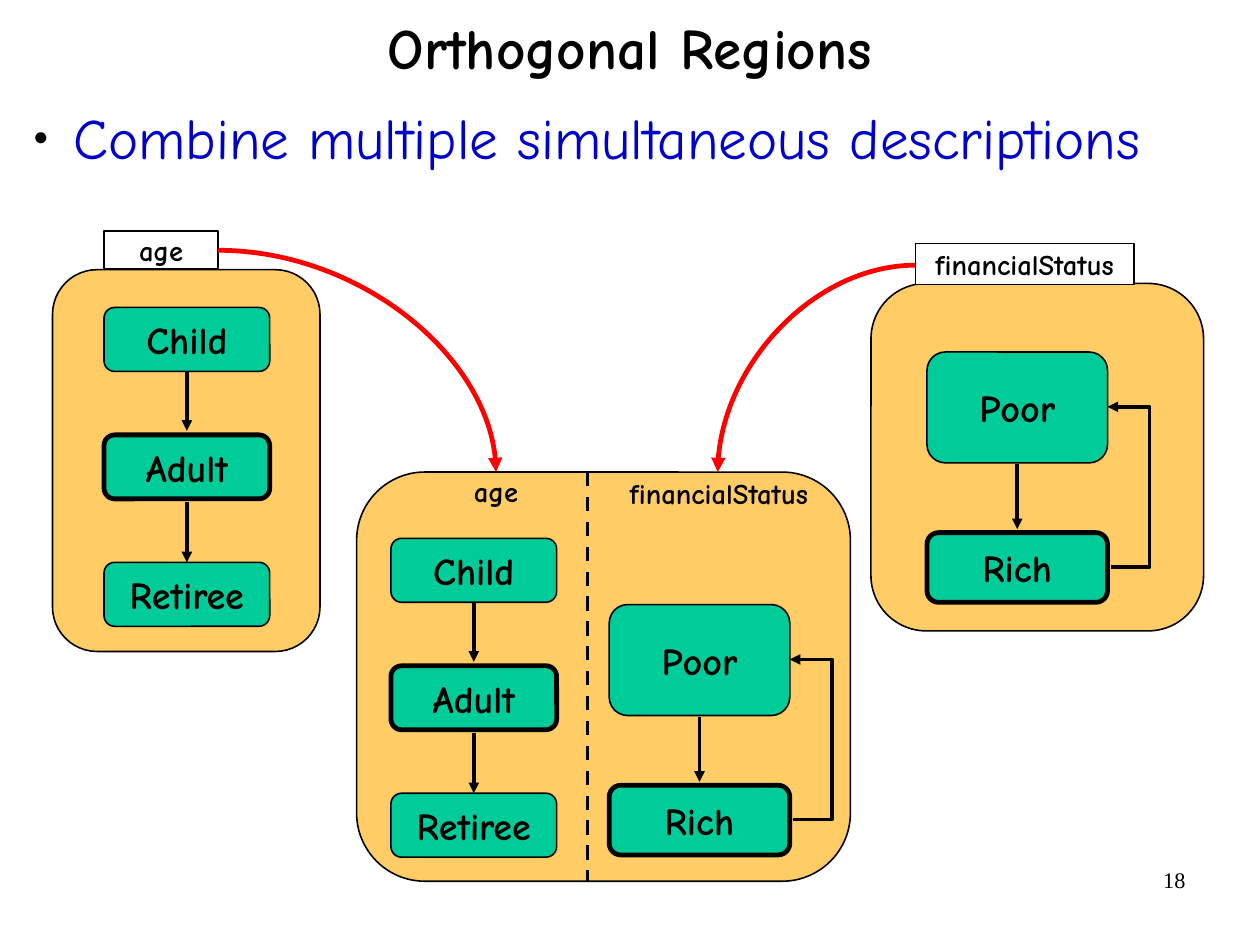
import dataclasses
import pptx
import pptx.dml.color
import pptx.enum.dml
import pptx.enum.shapes
import pptx.enum.text
import pptx.oxml
import pptx.oxml.ns
import pptx.util

Inches = pptx.util.Inches
Pt = pptx.util.Pt
SHAPE = pptx.enum.shapes.MSO_SHAPE
LINK = pptx.enum.shapes.MSO_CONNECTOR
ALIGN = pptx.enum.text.PP_ALIGN
ANCHOR = pptx.enum.text.MSO_ANCHOR
qn = pptx.oxml.ns.qn


@dataclasses.dataclass(frozen=True)
class Theme:
    font: str = "Comic Neue"
    number_font: str = "Times New Roman"
    ink: str = "000000"
    paper: str = "FFFFFF"
    region: str = "FFCC66"
    state: str = "00CC99"
    heading: str = "0000CC"
    mapping: str = "FF0000"
    title_size: int = 36
    state_size: int = 24
    label_size: int = 18
    number_size: int = 14
    thin: float = 1
    medium: float = 2.25
    thick: float = 3


T = Theme()


def rgb(value):
    return pptx.dml.color.RGBColor.from_string(value)


def add_xml(parent, tag, **attrs):
    el = pptx.oxml.parse_xml(f'<a:{tag} {pptx.oxml.ns.nsdecls("a")}/>')
    for key, value in attrs.items():
        el.set(key, value)
    parent.append(el)
    return el


def set_font(p, size, color=T.ink, name=T.font, bold=True):
    for r in p.runs:
        r.font.name, r.font.size, r.font.bold = name, Pt(size), bold
        r.font.color.rgb = rgb(color)


def set_margins(tf, x, y):
    tf.margin_left = tf.margin_right = Inches(x)
    tf.margin_top = tf.margin_bottom = Inches(y)


def set_caption(sp, text, size, margin=0.11):
    tf = sp.text_frame
    tf.text = text
    tf.word_wrap = False
    tf.vertical_anchor = ANCHOR.MIDDLE
    set_margins(tf, margin, 0.06)
    p = tf.paragraphs[0]
    p.alignment = ALIGN.CENTER
    set_font(p, size)


def add_box(shapes, kind, box, fill, weight=T.thin):
    sp = shapes.add_shape(kind, *map(Inches, box))
    sp.shadow.inherit = False
    sp.fill.solid()
    sp.fill.fore_color.rgb = rgb(fill)
    sp.line.color.rgb = rgb(T.ink)
    sp.line.width = Pt(weight)
    return sp


def add_state(shapes, text, box, weight=T.thin):
    set_caption(add_box(shapes, SHAPE.ROUNDED_RECTANGLE, box, T.state, weight), text, T.state_size)


def add_tab(shapes, text, box):
    set_caption(add_box(shapes, SHAPE.RECTANGLE, box, T.paper), text, T.label_size)


def add_label(shapes, text, box):
    set_caption(shapes.add_textbox(*map(Inches, box)), text, T.label_size, margin=0)


def add_link(shapes, start, end, kind=LINK.STRAIGHT, color=T.ink, weight=T.medium, arrow=True):
    cx = shapes.add_connector(kind, *map(Inches, start + end))
    cx.line.color.rgb = rgb(color)
    cx.line.width = Pt(weight)
    sp_pr = cx._element.spPr
    if arrow:
        add_xml(sp_pr.find(qn("a:ln")), "tailEnd", type="triangle")
    add_xml(sp_pr, "effectLst")
    return cx


def add_mapping(shapes, start, end):
    cx = add_link(shapes, start, end, LINK.CURVE, T.mapping, T.thick)
    cx._element.spPr.find(qn("a:prstGeom")).set("prst", "curvedConnector2")


def add_age_states(shapes, x, y):
    w, h, pitch = 1.45, 0.56, 2.23 / 2
    states = ("Child", T.thin), ("Adult", T.thick), ("Retiree", T.thin)
    for i, (text, weight) in enumerate(states):
        add_state(shapes, text, (x, y + i * pitch, w, h), weight)
    for top, bottom in (0.56, 1.08), (1.7, 2.23):
        add_link(shapes, (x + w / 2, y + top), (x + w / 2, y + bottom))


def add_status_states(shapes, x, y):
    w = 1.58
    add_state(shapes, "Poor", (x, y, w, 0.97))
    add_state(shapes, "Rich", (x, y + 1.58, w, 0.61), T.thick)
    add_link(shapes, (x + w / 2, y + 0.98), (x + w / 2, y + 1.55))
    loop = add_link(shapes, (x + w + 0.03, y + 1.88), (x + w, y + 0.48), LINK.ELBOW)
    guides = loop._element.spPr.find(qn("a:prstGeom")).get_or_add_avLst()
    add_xml(guides, "gd", name="adj1", fmla="val -1130000")


def add_region(slide, box):
    shapes = slide.shapes.add_group_shape().shapes
    add_box(shapes, SHAPE.ROUNDED_RECTANGLE, box, T.region)
    return shapes


def add_age_region(slide, x, y):
    shapes = add_region(slide, (x, y, 2.34, 3.34))
    add_age_states(shapes, x + 0.45, y + 0.33)
    add_tab(shapes, "age", (x + 0.45, y - 0.34, 1, 0.33))


def add_status_region(slide, x, y):
    shapes = add_region(slide, (x, y, 2.91, 3.04))
    add_status_states(shapes, x + 0.49, y + 0.6)
    add_tab(shapes, "financialStatus", (x + 0.39, y - 0.35, 1.91, 0.36))


def add_combined_region(slide, x, y):
    w, h, split = 4.32, 3.58, 2.02
    shapes = add_region(slide, (x, y, w, h))
    add_status_states(shapes, x + 2.21, y + 1.16)
    add_label(shapes, "financialStatus", (x + 2.36, y, 1.62, 0.36))
    add_age_states(shapes, x + 0.3, y + 0.58)
    add_label(shapes, "age", (x + 0.72, y, 1, 0.33))
    divider = add_link(shapes, (x + split, y), (x + split, y + h), arrow=False)
    divider.line.dash_style = pptx.enum.dml.MSO_LINE.DASH


def fill_placeholder(sp, text, box, color, bold):
    sp.left, sp.top, sp.width, sp.height = map(Inches, box)
    tf = sp.text_frame
    tf.text = text
    tf.word_wrap = True
    tf.auto_size = pptx.enum.text.MSO_AUTO_SIZE.NONE
    set_margins(tf, 0, 0)
    p = tf.paragraphs[0]
    p.line_spacing = 0.88
    p.space_before = Pt(0)
    set_font(p, T.title_size, color, bold=bold)
    return tf, p


def add_heading(slide):
    tf, p = fill_placeholder(slide.shapes.title, "Orthogonal Regions",
                             (0.81, -0.45, 9.4, 1.8), T.ink, True)
    tf.vertical_anchor = ANCHOR.MIDDLE
    p.alignment = ALIGN.CENTER


def add_body(slide):
    tf, p = fill_placeholder(slide.placeholders[1], "Combine multiple simultaneous descriptions",
                             (0.18, 0.97, 11.17, 6.33), T.heading, False)
    tf.vertical_anchor = ANCHOR.TOP
    p.space_after = Pt(13.8)
    p_pr = p._p.get_or_add_pPr()
    p_pr.set("marL", str(Inches(0.46)))
    p_pr.set("indent", str(Inches(-0.35)))
    add_xml(add_xml(p_pr, "buClr"), "srgbClr", val=T.ink)
    add_xml(p_pr, "buSzPct", val="45000")
    add_xml(p_pr, "buChar", char="●")


def add_number(slide, text, box):
    tf = slide.shapes.add_textbox(*map(Inches, box)).text_frame
    tf.text = text
    tf.word_wrap = True
    p = tf.paragraphs[0]
    p.alignment = ALIGN.RIGHT
    set_font(p, T.number_size, name=T.number_font, bold=False)


def main():
    prs = pptx.Presentation()
    prs.slide_width, prs.slide_height = pptx.util.Cm(28), pptx.util.Cm(21)
    slide = prs.slides.add_slide(prs.slide_layouts[1])
    add_heading(slide)
    add_body(slide)
    add_number(slide, "18", (7.9, 7.53, 2.57, 0.57))
    add_age_region(slide, 0.46, 2.36)
    add_status_region(slide, 7.62, 2.48)
    add_combined_region(slide, 3.12, 4.13)
    add_mapping(slide.shapes, (1.91, 2.19), (4.34, 4.13))
    add_mapping(slide.shapes, (8.01, 2.32), (6.28, 4.13))
    prs.save("out.pptx")


if __name__ == "__main__":
    main()
